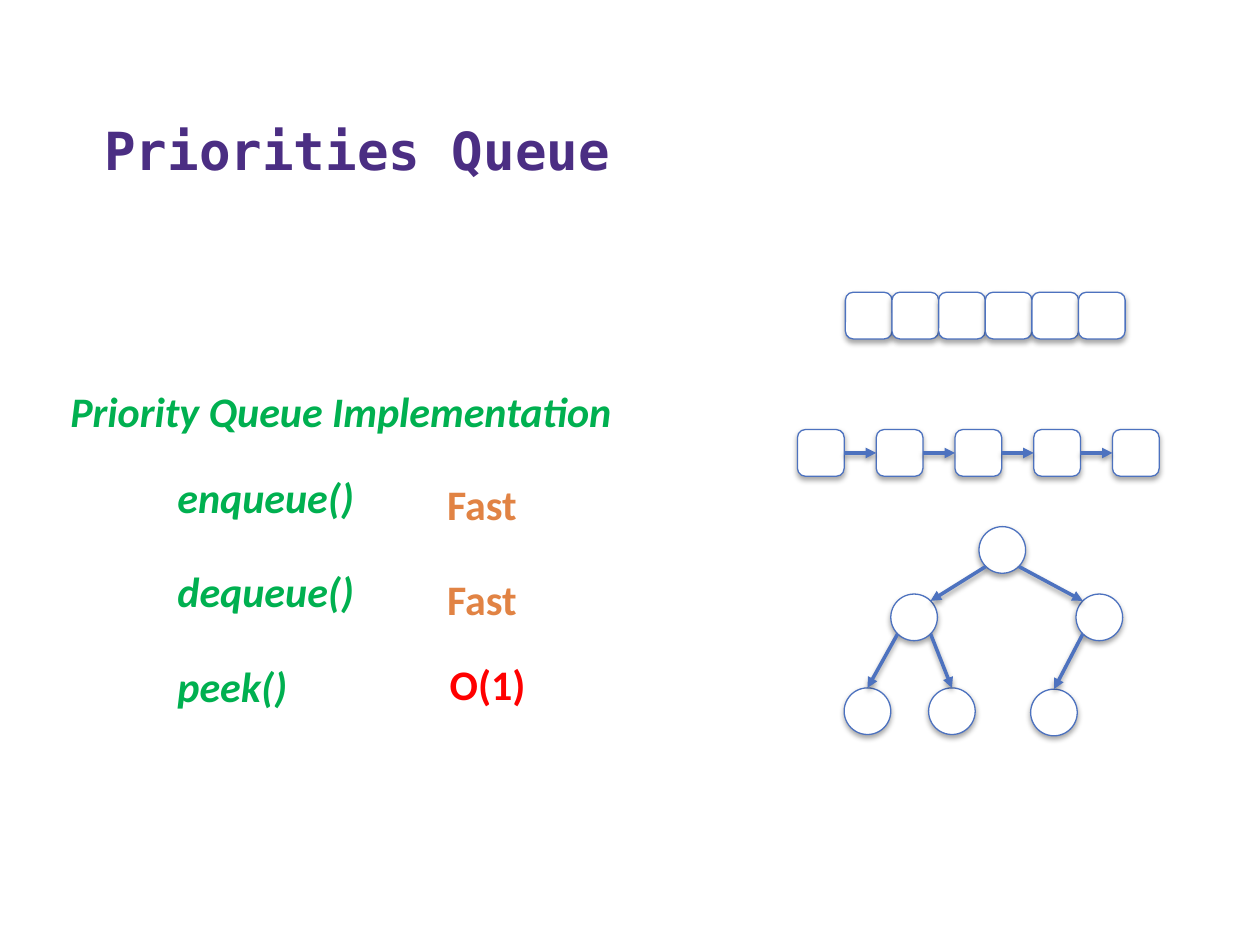
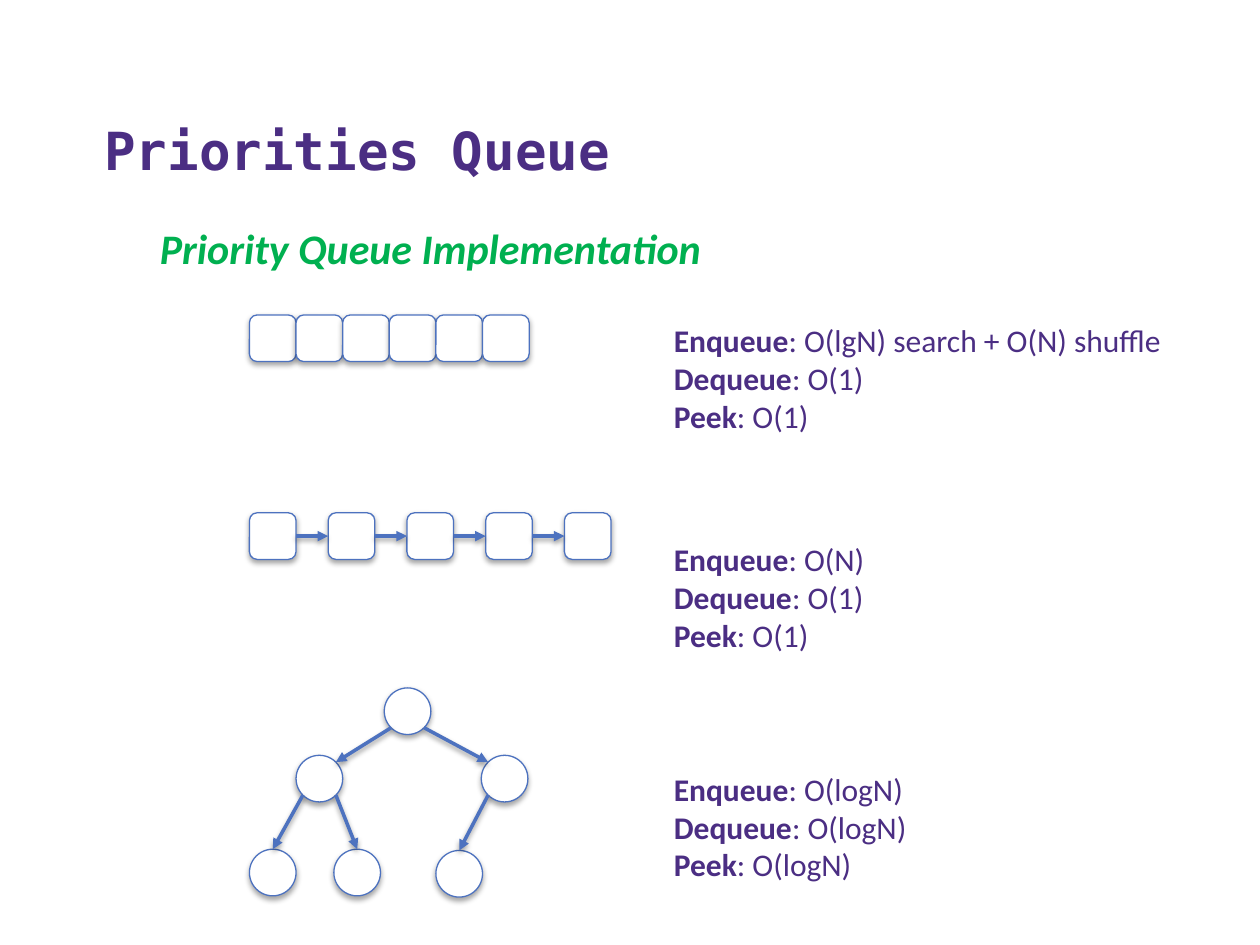
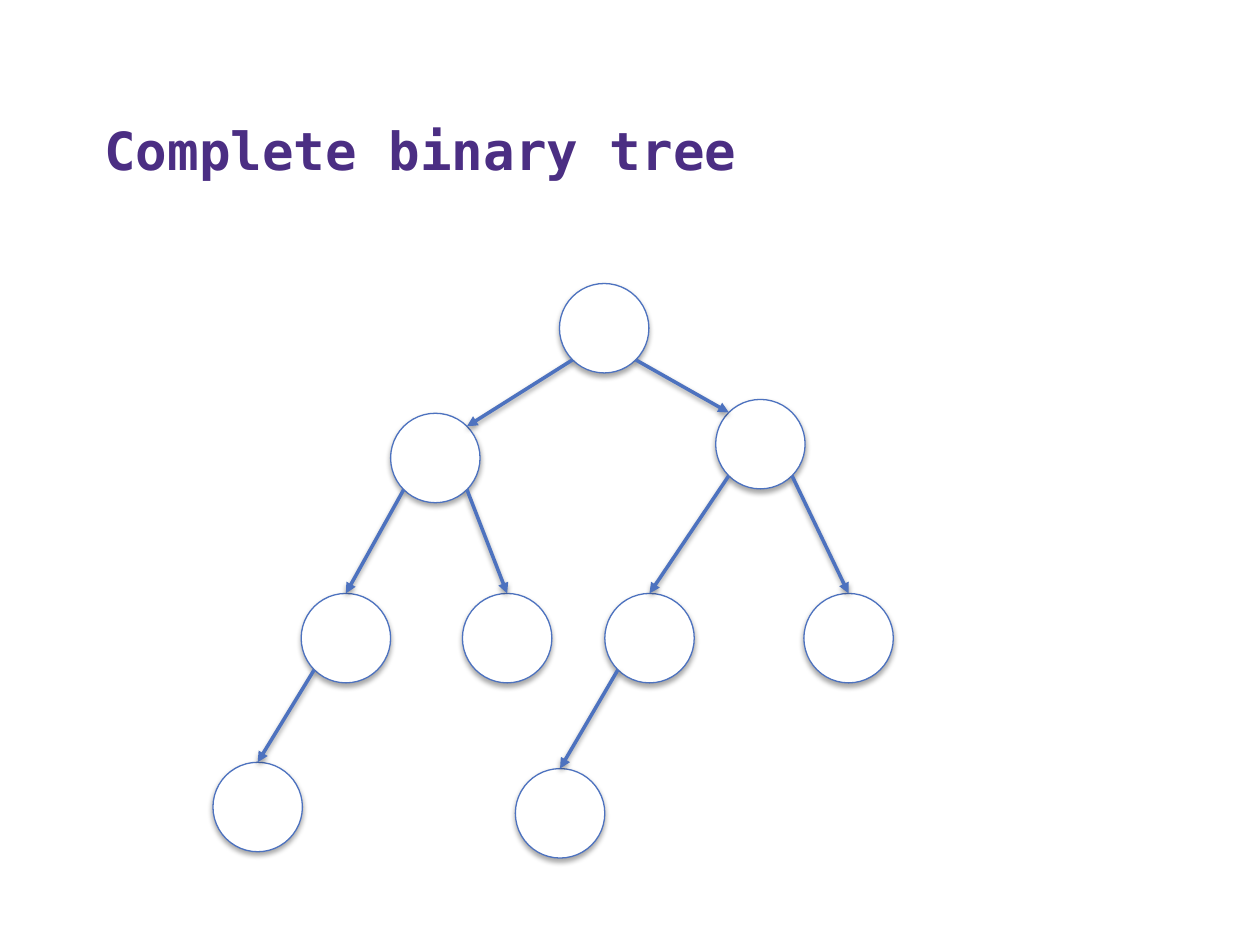
from dataclasses import dataclass
from math import sqrt

from lxml import etree
from pptx import Presentation
from pptx.dml.color import RGBColor
from pptx.enum.shapes import MSO_CONNECTOR as Connector, MSO_SHAPE as Shape
from pptx.enum.text import MSO_ANCHOR as Anchor
from pptx.oxml import parse_xml
from pptx.oxml.ns import nsdecls, qn
from pptx.util import Inches, Pt


@dataclass(frozen=True)
class Theme:
    purple: str = "4B2E83"
    green: str = "00B050"
    orange: str = "E18344"
    red: str = "FF0000"
    blue: str = "4D72BF"
    white: str = "FFFFFF"
    title_font: str = "DejaVu Sans Mono"
    body_font: str = "Calibri"
    title_size: int = 30
    heading_size: int = 24
    body_size: int = 18
    outline: float = 0.75
    arrow: float = 2


THEME = Theme()

QUEUE_TITLE = "Priorities Queue"
HEADING = "Priority Queue Implementation"
TREE_TITLE = "Complete binary tree"

# method, its top and width; cost, its left, top, width and colour
METHODS = [
    ("enqueue()", 3.69, 1.61, "Fast", 3.45, 3.75, 0.76, THEME.orange),
    ("dequeue()", 4.44, 1.61, "Fast", 3.45, 4.5, 0.76, THEME.orange),
    ("peek()", 5.19, 1.08, "O(1)", 3.47, 5.18, 0.81, THEME.red),
]

OPERATIONS = ("Enqueue", "Dequeue", "Peek")
COSTS = [
    (2.5, ("O(lgN) search + O(N) shuffle", "O(1)", "O(1)")),
    (4.24, ("O(N)", "O(1)", "O(1)")),
    (6.06, ("O(logN)", "O(logN)", "O(logN)")),
]

CELL = 0.37
CHAIN_PITCH = 0.625
BIG_NODE = 0.71

# left, top and parent index of each node, root first
SMALL_TREE = [
    (1.07, 0, None),
    (0.37, 0.535, 0),
    (1.84, 0.535, 0),
    (0, 1.28, 1),
    (0.67, 1.28, 1),
    (1.48, 1.29, 2),
]
BIG_TREE = [
    (4.44, 2.25, None),
    (3.1, 3.28, 0),
    (5.68, 3.17, 0),
    (2.39, 4.71, 1),
    (3.67, 4.71, 1),
    (4.8, 4.71, 2),
    (6.38, 4.71, 2),
    (1.69, 6.05, 3),
    (4.09, 6.1, 5),
]


def color(value):
    return RGBColor.from_string(value)


def set_font(font, name, size, tint, bold=False, italic=False):
    font.name, font.size = name, Pt(size)
    font.color.rgb = color(tint)
    font.bold, font.italic = bold, italic


def add_box(page, left, top, width, height, wrap=True):
    box = page.shapes.add_textbox(*map(Inches, (left, top, width, height)))
    box.text_frame.word_wrap = wrap
    return box.text_frame


def add_label(page, text, left, top, width, tint, italic=False):
    frame = add_box(page, left, top, width, 0.5, wrap=False)
    para = frame.paragraphs[0]
    para.text = text
    set_font(para.font, THEME.body_font, THEME.heading_size, tint, True, italic)


def add_page(deck, title):
    page = deck.slides.add_slide(deck.slide_layouts[6])
    frame = add_box(page, 0.73, 0.41, 8.95, 1.08)
    frame.vertical_anchor = Anchor.BOTTOM
    para = frame.paragraphs[0]
    para.text = title
    set_font(para.font, THEME.title_font, THEME.title_size, THEME.purple, True)
    return page


def add_costs(page, top, costs):
    frame = add_box(page, 5.25, top, 4.57, 1.01)
    for index, (operation, cost) in enumerate(zip(OPERATIONS, costs)):
        para = frame.add_paragraph() if index else frame.paragraphs[0]
        set_font(para.font, THEME.body_font, THEME.body_size, THEME.purple)
        span = para.add_run()
        span.text = operation
        span.font.bold = True
        para.add_run().text = f": {cost}"


def add_shadow(shape, distance, opacity):
    """Drop a soft shadow straight down; opacity is in percent."""
    shape._element.spPr.append(parse_xml(
        f'<a:effectLst {nsdecls("a")}>'
        f'<a:outerShdw blurRad="{Pt(3.1)}" dist="{Pt(distance)}" dir="5400000" rotWithShape="0">'
        f'<a:srgbClr val="000000"><a:alpha val="{opacity * 1000}"/></a:srgbClr>'
        '</a:outerShdw></a:effectLst>'))


def add_node(group, kind, left, top, size):
    node = group.shapes.add_shape(kind, *map(Inches, (left, top, size, size)))
    node.fill.solid()
    node.fill.fore_color.rgb = color(THEME.white)
    node.line.color.rgb = color(THEME.blue)
    node.line.width = Pt(THEME.outline)
    add_shadow(node, 1.8, 35)


def add_arrow(group, start, end):
    arrow = group.shapes.add_connector(Connector.STRAIGHT, *map(Inches, (*start, *end)))
    arrow.line.color.rgb = color(THEME.blue)
    arrow.line.width = Pt(THEME.arrow)
    etree.SubElement(arrow.line._get_or_add_ln(), qn("a:tailEnd"), type="triangle")
    add_shadow(arrow, 1.6, 38)


def add_cells(page, left, top, count, pitch=CELL):
    """Draw a row of cells, with arrows across any gaps."""
    group = page.shapes.add_group_shape()
    lefts = [left + index * pitch for index in range(count)]
    for cell_left in lefts:
        add_node(group, Shape.ROUNDED_RECTANGLE, cell_left, top, CELL)
    if pitch > CELL:
        middle = top + CELL / 2
        for before, after in zip(lefts, lefts[1:]):
            add_arrow(group, (before + CELL, middle), (after, middle))


def add_tree(page, tree, size, left=0, top=0):
    """Draw circles and arrows that run from each parent's lower corner."""
    group = page.shapes.add_group_shape()
    radius = size / 2
    corner = radius / sqrt(2)
    centers = [(left + x + radius, top + y + radius) for x, y, _ in tree]
    for x, y, _ in tree:
        add_node(group, Shape.OVAL, left + x, top + y, size)
    for (x, y), (_, _, parent) in zip(centers, tree):
        if parent is None:
            continue
        parent_x, parent_y = centers[parent]
        reach = corner if x > parent_x else -corner
        start = (parent_x + reach, parent_y + corner)
        end = (x, y - radius) if parent else (x - reach, y - corner)
        add_arrow(group, start, end)


def add_methods_page(deck):
    page = add_page(deck, QUEUE_TITLE)
    add_label(page, HEADING, 0.46, 3.01, 4.54, THEME.green, italic=True)
    for method, top, width, cost, cost_left, cost_top, cost_width, tint in METHODS:
        add_label(page, method, 1.31, top, width, THEME.green, italic=True)
        add_label(page, cost, cost_left, cost_top, cost_width, tint)
    add_cells(page, 6.71, 2.32, 6)
    add_cells(page, 6.33, 3.41, 5, CHAIN_PITCH)
    add_tree(page, SMALL_TREE, CELL, 6.7, 4.18)


def add_costs_page(deck):
    page = add_page(deck, QUEUE_TITLE)
    add_label(page, HEADING, 1.17, 1.72, 4.54, THEME.green, italic=True)
    add_cells(page, 1.98, 2.5, 6)
    add_cells(page, 1.98, 4.07, 5, CHAIN_PITCH)
    add_tree(page, SMALL_TREE, CELL, 1.98, 5.46)
    for top, costs in COSTS:
        add_costs(page, top, costs)


def main():
    deck = Presentation()
    deck.slide_width, deck.slide_height = Inches(10), Inches(7.5)
    add_methods_page(deck)
    add_costs_page(deck)
    add_tree(add_page(deck, TREE_TITLE), BIG_TREE, BIG_NODE)
    deck.save("out.pptx")


if __name__ == "__main__":
    main()
